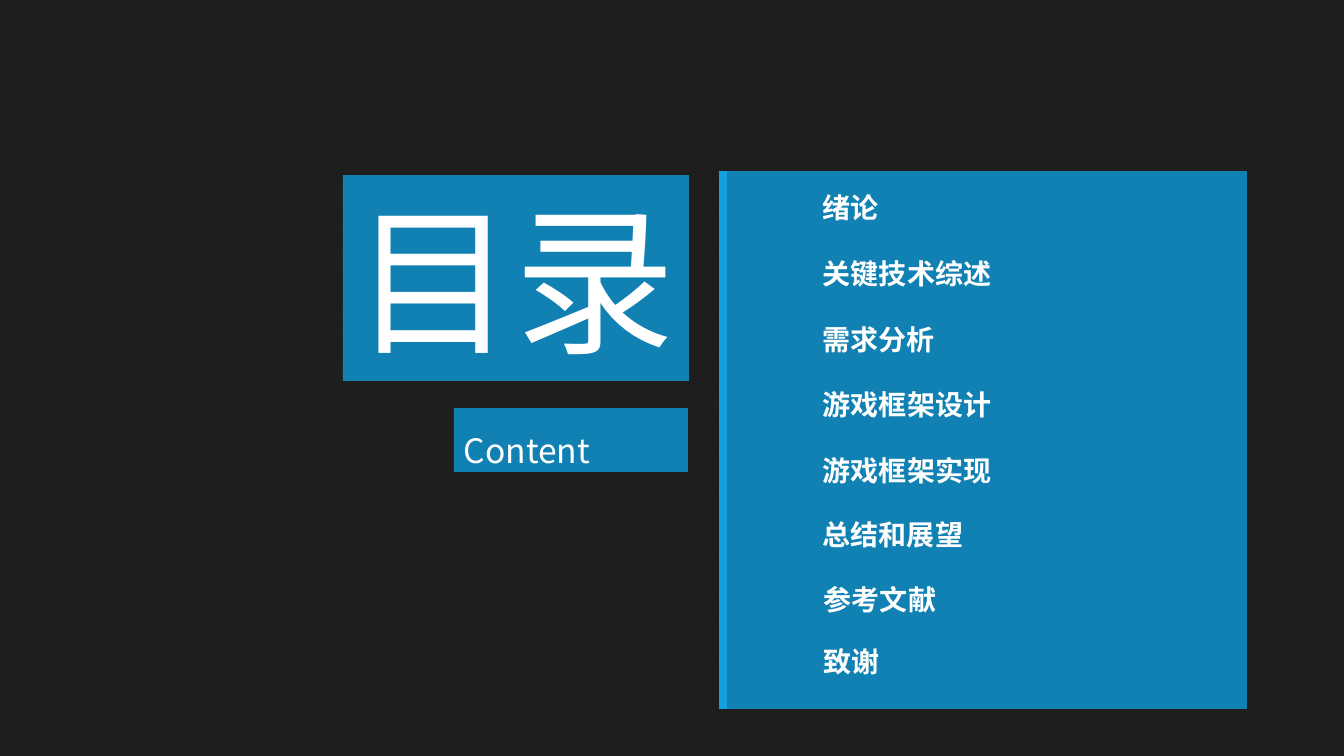
from pptx import Presentation
from pptx.dml.color import RGBColor
from pptx.enum.dml import MSO_PATTERN
from pptx.enum.shapes import MSO_CONNECTOR, MSO_SHAPE
from pptx.enum.text import MSO_ANCHOR, MSO_AUTO_SIZE, PP_ALIGN
from pptx.oxml.ns import qn
from pptx.util import Pt
from lxml.etree import SubElement

TITLE = "目录"
SUBTITLE = "Content"
CHAPTERS = [
    ("绪论", 813, 186),
    ("关键技术综述", 813, 252),
    ("需求分析", 813, 318),
    ("游戏框架设计", 813, 383),
    ("游戏框架实现", 813, 449),
    ("总结和展望", 813, 513),
    ("参考文献", 814, 578),
    ("致谢", 814, 640),
]
FONT = "Noto Sans CJK SC"
BLUE, EDGE, WHITE, BLACK = "1181B3", "159FDD", "FFFFFF", "000000"
PAGE_SIZE = (1344, 756)
PANEL = (723, 171, 524, 538)
TITLE_BOX = (343, 175, 346, 206)
SUBTITLE_BOX = (454, 408, 234, 64)
CHAPTER_WIDTH, CHAPTER_HEIGHT = 28, 44
CHAPTER_PADDING = 20
EMU_PER_PX = 914400 / 100.8


def px(*lengths):
    return [round(length * EMU_PER_PX) for length in lengths]


def color(value):
    return RGBColor.from_string(value)


def add_block(page, area, fill):
    block = page.shapes.add_shape(MSO_SHAPE.RECTANGLE, *px(*area))
    block.shadow.inherit = False
    block.fill.solid()
    block.fill.fore_color.rgb = color(fill)
    block.line.fill.background()
    return block


def write(box, text, size, bold=False, wrap=False, anchor=MSO_ANCHOR.TOP, align=PP_ALIGN.LEFT):
    frame = box.text_frame
    frame.text = text
    frame.word_wrap = wrap
    frame.auto_size = MSO_AUTO_SIZE.NONE
    frame.vertical_anchor = anchor
    para = frame.paragraphs[0]
    para.alignment = align
    span = para.runs[0]
    span.font.name = FONT
    span.font.size = Pt(size)
    span.font.bold = bold
    span.font.color.rgb = color(WHITE)
    return para


def add_backdrop(page):
    pattern = page.background.fill
    pattern.patterned()
    pattern.pattern = MSO_PATTERN.LIGHT_UPWARD_DIAGONAL
    pattern.fore_color.rgb = color("BFBFBF")
    pattern.back_color.rgb = color("DDDCE2")
    veil = add_block(page, (0, 0, *PAGE_SIZE), BLACK)
    tint = veil.fill._xPr.find(qn("a:solidFill"))[0]
    SubElement(tint, qn("a:alpha")).set("val", "86000")


def add_heading(page):
    title = page.shapes.title
    page.shapes._spTree.append(title._element)
    title.left, title.top, title.width, title.height = px(*TITLE_BOX)
    title.fill.solid()
    title.fill.fore_color.rgb = color(BLUE)
    write(title, TITLE, 115)
    subtitle = add_block(page, SUBTITLE_BOX, BLUE)
    para = write(subtitle, SUBTITLE, 24, wrap=True, anchor=MSO_ANCHOR.MIDDLE, align=PP_ALIGN.JUSTIFY)
    para.line_spacing = 1.5


def add_panel_edge(page):
    left, top, _, height = PANEL
    edge = page.shapes.add_connector(MSO_CONNECTOR.STRAIGHT, *px(left, top, left, top + height))
    edge.line.color.rgb = color(EDGE)
    edge.line.width = Pt(6)
    SubElement(edge._element.spPr, qn("a:effectLst"))


def add_chapters(page):
    for text, left, top in CHAPTERS:
        width = len(text) * CHAPTER_WIDTH + CHAPTER_PADDING
        box = page.shapes.add_textbox(*px(left, top, width, CHAPTER_HEIGHT))
        write(box, text, 20, bold=True)


def main():
    deck = Presentation()
    deck.slide_width, deck.slide_height = px(*PAGE_SIZE)
    page = deck.slides.add_slide(deck.slide_layouts[5])
    add_backdrop(page)
    add_block(page, PANEL, BLUE)
    add_heading(page)
    add_panel_edge(page)
    add_chapters(page)
    deck.save("out.pptx")


if __name__ == "__main__":
    main()
